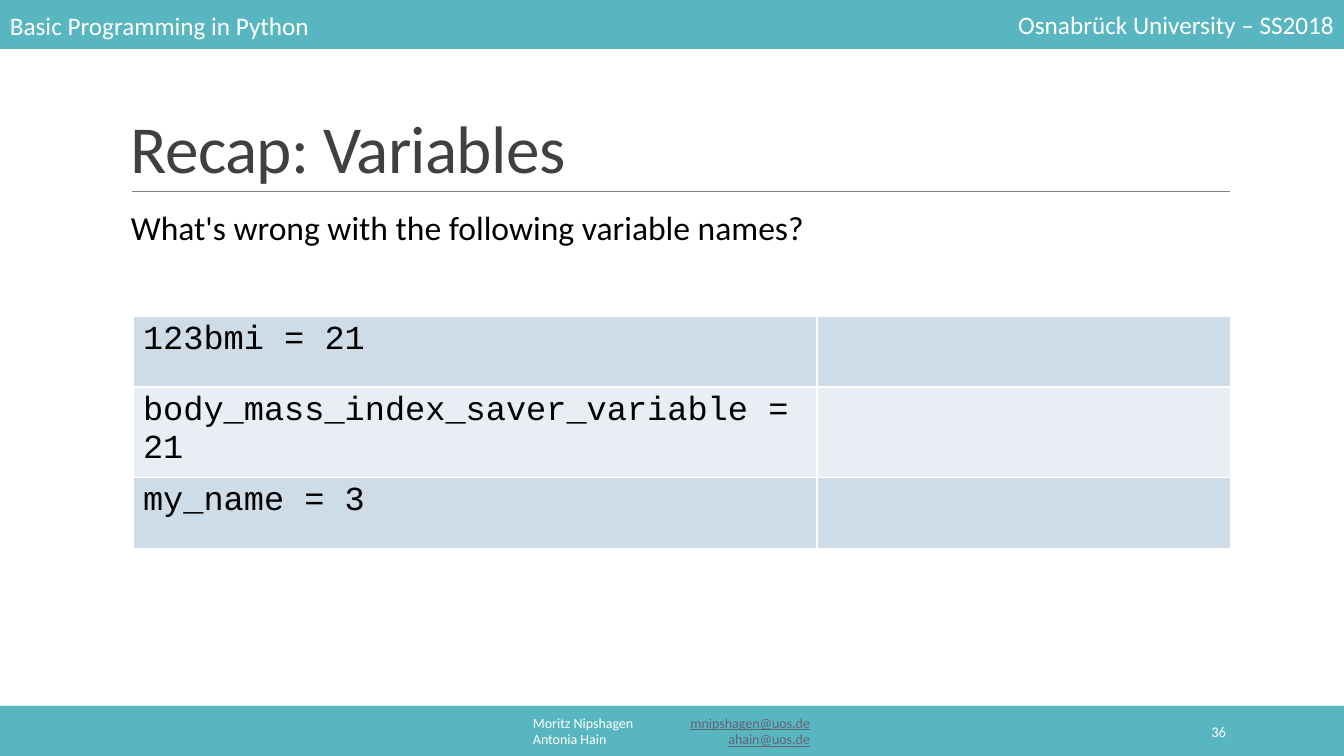
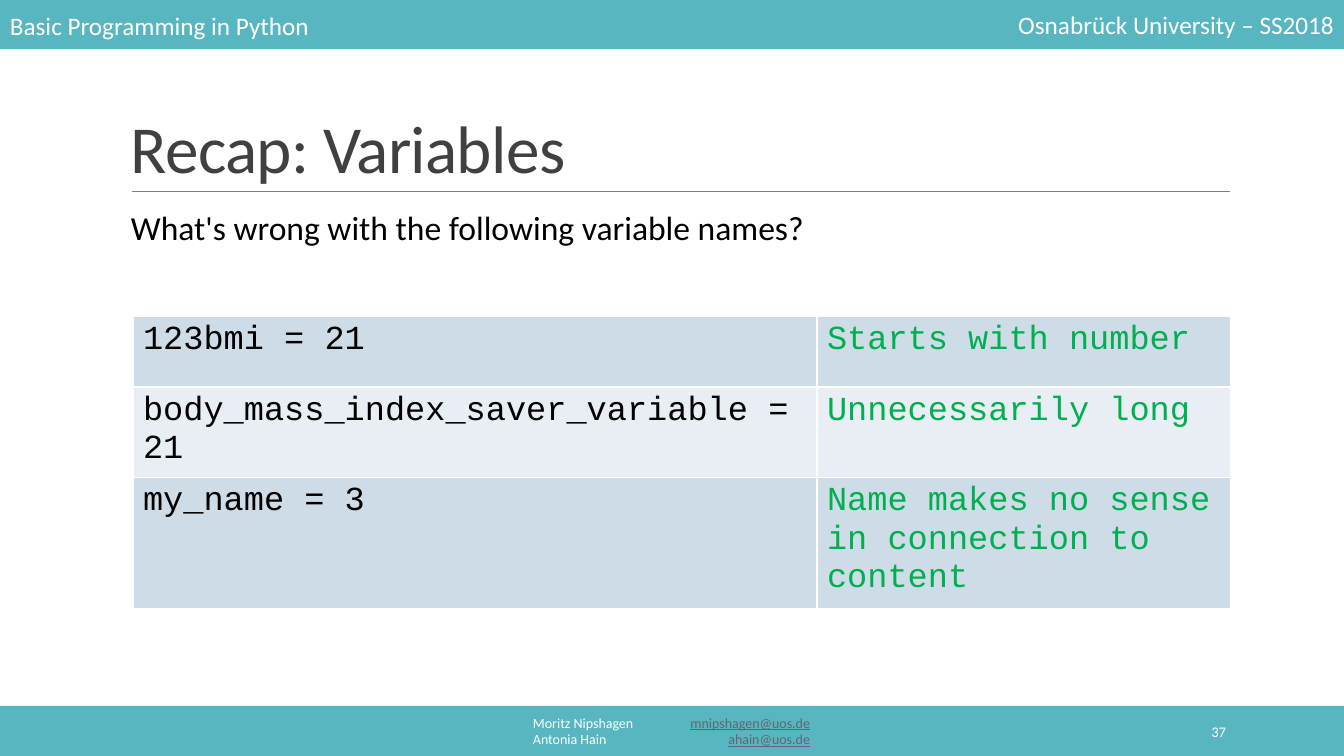
"""Build two recap slides on variable names in Python."""
from lxml.etree import SubElement
from pptx import Presentation
from pptx.dml.color import RGBColor
from pptx.enum.shapes import MSO_CONNECTOR, MSO_SHAPE
from pptx.enum.text import MSO_ANCHOR, PP_ALIGN
from pptx.oxml.ns import qn
from pptx.util import Emu, Pt

PX = 914400 / 100.8
WIDE, HIGH = 1344, 756
TEAL, WHITE, BLACK = "58B6C0", "FFFFFF", "000000"
DARK, GREY, LINK, GREEN = "404040", "808080", "636378", "00B050"
BANDS = ["CEDCE7", "E8EEF3"]
SANS, MONO = "Calibri", "Courier New"
LEFT, RIGHT = PP_ALIGN.LEFT, PP_ALIGN.RIGHT

COURSE = "Basic Programming in Python"
TERM = "Osnabrück University – SS2018"
STAFF = [("Moritz Nipshagen", "mnipshagen@uos.de"), ("Antonia Hain", "ahain@uos.de")]
TITLE = "Recap: Variables"
ASK = "What's wrong with the following variable names?"
NAMES = ["123bmi = 21", "body_mass_index_saver_variable = 21", "my_name = 3"]
FLAWS = ["Starts with number", "Unnecessarily long",
         "Name makes no sense in connection to content"]
SLIDES = [(36, [""] * len(NAMES)), (37, FLAWS)]
COLS, ROW = [684, 414], 71


def px(num):
    return Emu(round(num * PX))


def tint(code):
    return RGBColor.from_string(code)


def style(run, size, color, face=SANS):
    font = run.font
    font.size, font.name = Pt(size), face
    font.color.rgb = tint(color)


def box(slide, place, size, color, text="", align=LEFT, anchor=MSO_ANCHOR.MIDDLE):
    frame = slide.shapes.add_textbox(*map(px, place)).text_frame
    frame.word_wrap = True
    frame.vertical_anchor = anchor
    para = frame.paragraphs[0]
    para.text, para.alignment = text, align
    for run in para.runs:
        style(run, size, color)
    return frame


def band(slide, top, high):
    bar = slide.shapes.add_shape(MSO_SHAPE.RECTANGLE, *map(px, (0, top, WIDE, high)))
    bar.shadow.inherit = False
    bar.fill.solid()
    bar.fill.fore_color.rgb = tint(TEAL)
    bar.line.fill.background()


def staff(slide):
    frame = box(slide, (406, 711, 531, 40), 10, WHITE)
    for spot, (name, mail) in enumerate(STAFF):
        para = frame.add_paragraph() if spot else frame.paragraphs[0]
        para.alignment = PP_ALIGN.CENTER
        tabs = SubElement(para._p.get_or_add_pPr(), qn("a:tabLst"))
        SubElement(tabs, qn("a:tab"), pos=str(px(277)), algn="r")
        for text, color in ((name + "\t", WHITE), (mail, LINK)):
            run = para.add_run()
            run.text = text
            style(run, 10, color)
            run.font.underline = color == LINK


def frame(slide, page):
    rule = slide.shapes.add_connector(MSO_CONNECTOR.STRAIGHT,
                                      *map(px, (132, 191, 1230, 191)))
    rule.line.color.rgb = tint(GREY)
    rule.line.width = Pt(0.5)
    SubElement(rule._element.spPr, qn("a:effectLst"))
    band(slide, 0, 49)
    band(slide, 706, 50)
    box(slide, (0, 5, 531, 40), 18, WHITE, COURSE)
    box(slide, (813, 4, 531, 40), 18, WHITE, TERM, RIGHT)
    staff(slide)
    box(slide, (1092, 712, 144, 40), 10.5, WHITE, str(page), RIGHT)
    head = box(slide, (121, 109, 1109, 83), 48, DARK, TITLE,
               anchor=MSO_ANCHOR.BOTTOM).paragraphs[0]
    head.line_spacing = 0.85
    head.runs[0].font._element.set("spc", "-50")


def edge(cell):
    props = cell._tc.get_or_add_tcPr()
    for side in ("lnL", "lnR", "lnT", "lnB"):
        line = SubElement(props, qn("a:" + side), w=str(Pt(1)))
        SubElement(SubElement(line, qn("a:solidFill")), qn("a:srgbClr"), val=WHITE)


def grid(slide, flaws):
    rows = list(zip(NAMES, flaws))
    place = (133, 316, sum(COLS), ROW * len(rows))
    table = slide.shapes.add_table(len(rows), len(COLS), *map(px, place)).table
    table.first_row = table.horz_banding = False
    for col, wide in zip(table.columns, COLS):
        col.width = px(wide)
    for down, texts in enumerate(rows):
        table.rows[down].height = px(ROW)
        for over, (text, color) in enumerate(zip(texts, (BLACK, GREEN))):
            cell = table.cell(down, over)
            edge(cell)
            cell.fill.solid()
            cell.fill.fore_color.rgb = tint(BANDS[down % 2])
            cell.text_frame.text = text
            for run in cell.text_frame.paragraphs[0].runs:
                style(run, 24, color, MONO)


def main():
    deck = Presentation()
    deck.slide_width, deck.slide_height = px(WIDE), px(HIGH)
    for page, flaws in SLIDES:
        slide = deck.slides.add_slide(deck.slide_layouts[6])
        frame(slide, page)
        box(slide, (121, 202, 1111, 50), 24, BLACK, ASK, anchor=MSO_ANCHOR.TOP)
        grid(slide, flaws)
    deck.save("out.pptx")


if __name__ == "__main__":
    main()
